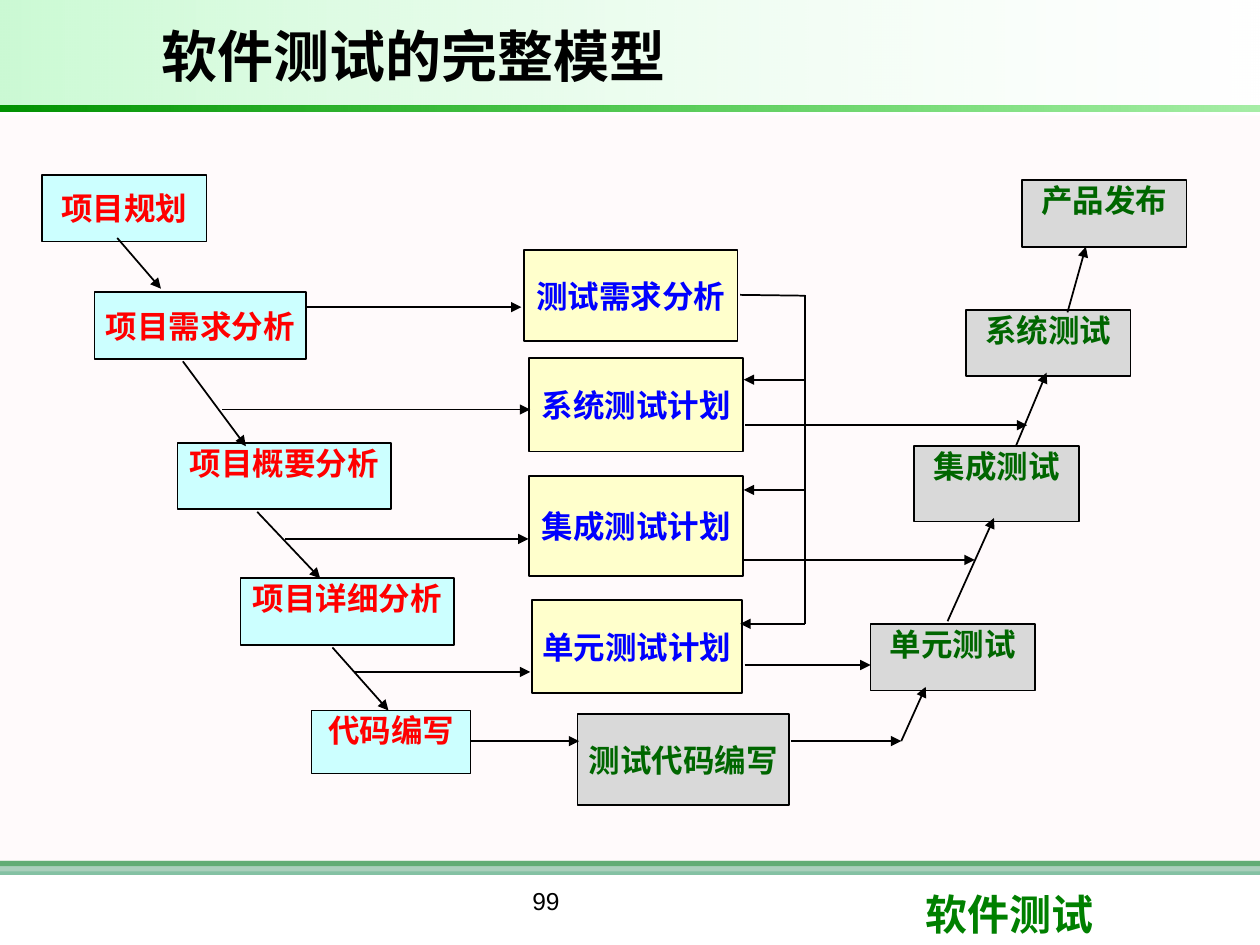
"""Build the slide showing the complete software testing model."""
from dataclasses import dataclass
from typing import Optional

import pptx
import pptx.dml.color
import pptx.enum.shapes
import pptx.enum.text
import pptx.oxml
import pptx.oxml.ns
import pptx.util

Pt = pptx.util.Pt
Anchor = pptx.enum.text.MSO_ANCHOR
Align = pptx.enum.text.PP_ALIGN

COLORS = {
    "black": "000000", "white": "FFFFFF", "green": "008000", "sea": "339966",
    "blush": "FFF0F5", "mint": "09E733", "bright": "00CC00", "deep": "009200",
    "cyan": "CCFFFF", "red": "FF0000", "yellow": "FFFFCC", "blue": "0000FF",
    "gray": "D9D9D9", "forest": "006600",
}


@dataclass
class Band:
    top: float
    height: float
    stops: list[tuple[str, int]]


@dataclass
class Stage:
    text: str
    left: float
    top: float
    width: float
    height: float
    centered: bool = False


@dataclass
class Family:
    fill: str
    ink: str
    stages: list[Stage]


@dataclass
class Link:
    x1: float
    y1: float
    x2: float
    y2: float
    arrow: bool = True


BANDS = [
    Band(492, 3, [("green", 100)]),
    Band(492, 8, [("sea", 60)]),
    Band(66, 432, [("blush", 30)]),
    Band(0, 60, [("white", 10), ("mint", 21)]),
    Band(60, 3.6, [("bright", 35), ("deep", 100)]),
]

FAMILIES = [
    Family("cyan", "red", [
        Stage("项目规划", 24, 100, 94, 38, True),
        Stage("项目需求分析", 54, 167, 121, 38, True),
        Stage("项目概要分析", 101.5, 253, 122, 38),
        Stage("项目详细分析", 137.5, 330.5, 122, 38),
        Stage("代码编写", 178, 406, 91, 36),
    ]),
    Family("yellow", "blue", [
        Stage("测试需求分析", 299.5, 143, 122, 52, True),
        Stage("系统测试计划", 302.5, 204.5, 122, 53.5, True),
        Stage("集成测试计划", 302.5, 272, 122, 57, True),
        Stage("单元测试计划", 304, 343, 120, 53, True),
    ]),
    Family("gray", "forest", [
        Stage("测试代码编写", 330, 408, 121, 52, True),
        Stage("产品发布", 584, 103, 94, 38),
        Stage("系统测试", 552, 177, 94, 38),
        Stage("集成测试", 522.5, 255, 94, 43),
        Stage("单元测试", 497.5, 356.5, 94, 38),
    ]),
]

BUS_X = 460
DEVELOPMENT_STEPS = [
    Link(67, 136, 92, 165), Link(104.5, 206.5, 140.5, 255),
    Link(147, 292.5, 183, 330.5), Link(190, 370, 222, 406),
]
PLANNING_LINKS = [
    Link(175, 175.5, 298, 175.5), Link(127, 234, 303, 234),
    Link(163, 308, 302, 308), Link(203, 384, 303, 384),
    Link(269, 423.5, 331, 423.5),
]
REQUIREMENT_BUS = [
    Link(423, 168.5, BUS_X, 169, False), Link(BUS_X, 168.5, BUS_X, 356.5, False),
    Link(BUS_X, 217, 425, 217), Link(BUS_X, 280, 425, 280),
    Link(BUS_X, 356.5, 423, 356.5),
]
EXECUTION_LINKS = [
    Link(426, 243, 587, 243), Link(425, 320, 557, 320),
    Link(425.5, 380, 497.5, 380), Link(452, 423.5, 515, 423.5),
]
RELEASE_STEPS = [
    Link(515, 423.5, 529, 392.5), Link(541.5, 355, 568, 296),
    Link(580.5, 255, 598, 213), Link(610, 178.5, 620.5, 141),
]


def rgb(name: str) -> pptx.dml.color.RGBColor:
    """Return the named palette colour."""
    return pptx.dml.color.RGBColor.from_string(COLORS[name])


def write(frame, text: str, size: float, font: str, ink: str, bold: bool = True,
          align: Optional[Align] = None) -> None:
    """Fill a text frame with one formatted paragraph."""
    frame.text = text
    frame.word_wrap = True
    paragraph = frame.paragraphs[0]
    paragraph.alignment = align
    run = paragraph.runs[0]
    run.font.size, run.font.name, run.font.bold = Pt(size), font, bold
    run.font.color.rgb = rgb(ink)
    latin = run.font._element.find(pptx.oxml.ns.qn("a:latin"))
    east_asian = pptx.oxml.parse_xml(
        f'<a:ea {pptx.oxml.ns.nsdecls("a")} typeface="{font}"/>')
    latin.addnext(east_asian)


def add_rectangle(slide, left: float, top: float, width: float, height: float):
    """Add a rectangle without a shadow."""
    shape = slide.shapes.add_shape(
        pptx.enum.shapes.MSO_SHAPE.RECTANGLE, Pt(left), Pt(top), Pt(width), Pt(height))
    shape.shadow.inherit = False
    return shape


def add_band(slide, band: Band) -> None:
    """Draw a full-width band with a solid or gradient translucent fill."""
    shape = add_rectangle(slide, 0, band.top, 720, band.height)
    shape.line.fill.background()
    if len(band.stops) == 1:
        shape.fill.solid()
        shape.fill.fore_color.rgb = rgb(band.stops[0][0])
    else:
        shape.rotation = 180
        shape.fill.gradient()
        shape.fill.gradient_angle = 0
        for stop, (color, _) in zip(shape.fill.gradient_stops, band.stops):
            stop.color.rgb = rgb(color)
    fills = shape.element.spPr.iter(pptx.oxml.ns.qn("a:srgbClr"))
    for fill, (_, opacity) in zip(list(fills), band.stops):
        fill.append(pptx.oxml.parse_xml(
            f'<a:alpha {pptx.oxml.ns.nsdecls("a")} val="{opacity * 1000}"/>'))


def add_stage(slide, stage: Stage, family: Family) -> None:
    """Draw one labelled stage of the model."""
    shape = add_rectangle(slide, stage.left, stage.top, stage.width, stage.height)
    shape.fill.solid()
    shape.fill.fore_color.rgb = rgb(family.fill)
    shape.line.color.rgb = rgb("black")
    shape.line.width = Pt(1)
    frame = shape.text_frame
    frame.margin_left = frame.margin_right = Pt(1)
    frame.margin_top = frame.margin_bottom = Pt(0.5)
    frame.vertical_anchor = Anchor.MIDDLE if stage.centered else Anchor.TOP
    write(frame, stage.text, 18, "Noto Sans CJK SC", family.ink, align=Align.CENTER)


def add_link(slide, link: Link) -> None:
    """Draw a straight line, with an arrowhead at its end if asked."""
    line = slide.shapes.add_connector(
        pptx.enum.shapes.MSO_CONNECTOR.STRAIGHT,
        Pt(link.x1), Pt(link.y1), Pt(link.x2), Pt(link.y2))
    line.line.color.rgb = rgb("black")
    line.line.width = Pt(1)
    namespace = pptx.oxml.ns.nsdecls("a")
    if link.arrow:
        line.line._get_or_add_ln().append(
            pptx.oxml.parse_xml(f'<a:tailEnd {namespace} type="triangle"/>'))
    line.element.spPr.append(pptx.oxml.parse_xml(f"<a:effectLst {namespace}/>"))


def add_label(slide, left: float, top: float, width: float, height: float):
    """Add a text box and return its text frame."""
    return slide.shapes.add_textbox(
        Pt(left), Pt(top), Pt(width), Pt(height)).text_frame


def main() -> None:
    """Assemble and save the slide."""
    deck = pptx.Presentation()
    deck.slide_width, deck.slide_height = Pt(720), Pt(540)
    slide = deck.slides.add_slide(deck.slide_layouts[5])
    for band in BANDS:
        add_band(slide, band)
    write(add_label(slide, 522, 504, 171, 36), "软件测试", 24, "Roboto", "green")
    title = slide.shapes.title
    title.left, title.top, title.width, title.height = Pt(85), Pt(6), Pt(502), Pt(51)
    title.text_frame.vertical_anchor = Anchor.MIDDLE
    write(title.text_frame, "软件测试的完整模型", 32, "Arial", "black", align=Align.LEFT)
    title.element.getparent().append(title.element)
    write(add_label(slide, 198, 502.5, 228, 37), "99", 14, "Arial", "black", False, Align.CENTER)
    for family in FAMILIES:
        for stage in family.stages:
            add_stage(slide, stage, family)
    for link in (DEVELOPMENT_STEPS + PLANNING_LINKS + REQUIREMENT_BUS
                 + EXECUTION_LINKS + RELEASE_STEPS):
        add_link(slide, link)
    deck.save("out.pptx")


if __name__ == "__main__":
    main()
